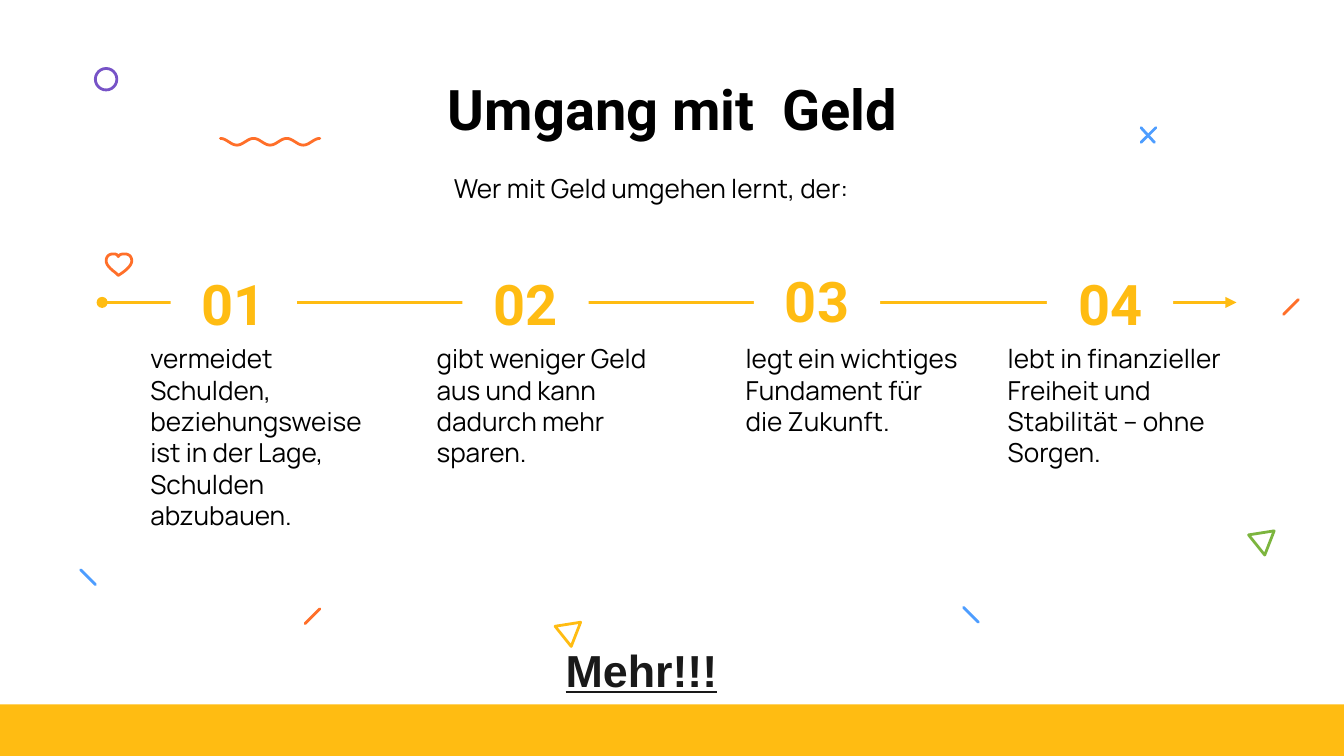
"""Build the "Umgang mit Geld" timeline slide."""
from math import cos, pi

from lxml import etree
from pptx import Presentation
from pptx import util as u
from pptx.dml.color import RGBColor
from pptx.enum import shapes, text
from pptx.oxml.ns import qn

PX = 9144
COLORS = {
    "yellow": "FFBC12", "orange": "FF6F29", "blue": "4D9DFF", "green": "7CB53E",
    "purple": "7753C7", "white": "FFFFFF", "black": "000000", "ink": "191919",
}
STROKES = [
    (966, 223, 955, 234, "orange"), (238, 453, 227, 464, "orange"),
    (717, 452, 728, 463, "blue"), (60, 424, 71, 435, "blue"),
    (860, 95, 849, 106, "blue"), (849, 95, 859, 106, "blue"),
]
TRIANGLES = [(413, 463, "yellow"), (929, 395, "green")]
HEART = [
    ((86, 203), (79, 198), (79, 195), (79, 194)),
    ((79, 194), (79, 191), (81, 189), (84, 189)),
    ((84, 189), (86, 189), (87, 189), (88, 191)),
    ((88, 191), (89, 189), (91, 189), (93, 189)),
    ((93, 189), (96, 189), (98, 191), (98, 194)),
    ((98, 194), (98, 195), (98, 198), (91, 203)),
]
STEPS = [
    ("01", 127, 194, 102, 195, "vermeidet Schulden, beziehungsweise ist in der Lage, Schulden abzubauen."),
    ("02", 344, 194, 315, 180, "gibt weniger Geld aus und kann dadurch mehr sparen."),
    ("03", 561, 192, 545, 180, "legt ein wichtiges Fundament für die Zukunft."),
    ("04", 779, 194, 740, 197, "lebt in finanzieller Freiheit und Stabilität – ohne Sorgen."),
]


def px(length):
    """Turn px into EMU."""
    return u.Emu(length * PX)


def box(left, top, width, height):
    """Return a position and size in EMU."""
    return px(left), px(top), px(width), px(height)


def rgb(color):
    """Look up a named colour."""
    return RGBColor.from_string(COLORS[color])


def outline(shape, color):
    """Give a shape or connector a round-capped coloured line."""
    shape.line.color.rgb = rgb(color)
    shape.line.width = u.Pt(1.5)
    shape.element.spPr.find(qn("a:ln")).set("cap", "rnd")


def add_line(slide, x1, y1, x2, y2, color):
    """Draw a straight line without shadow."""
    line = slide.shapes.add_connector(
        shapes.MSO_CONNECTOR.STRAIGHT, px(x1), px(y1), px(x2), px(y2))
    outline(line, color)
    etree.SubElement(line.element.spPr, qn("a:effectLst"))
    return line


def add_outline(slide, points, color, close=True):
    """Draw an unfilled freeform through the points."""
    start, *rest = [(px(x), px(y)) for x, y in points]
    builder = slide.shapes.build_freeform(*start)
    builder.add_line_segments(rest, close=close)
    freeform = builder.convert_to_shape()
    freeform.shadow.inherit = False
    freeform.fill.background()
    outline(freeform, color)


def curve(start, first, second, end, steps=8):
    """Sample a cubic Bézier curve."""
    for step in range(steps + 1):
        t = step / steps
        yield tuple((1 - t) ** 3 * a + 3 * (1 - t) ** 2 * t * b + 3 * (1 - t) * t ** 2 * c + t ** 3 * d
                    for a, b, c, d in zip(start, first, second, end))


def write(frame, wording, size, font, color, bold=False, underline=None, align=None,
          anchor=text.MSO_ANCHOR.TOP, margin=10, spacing=None):
    """Fill a text frame with one formatted run."""
    frame.word_wrap = True
    frame.auto_size = text.MSO_AUTO_SIZE.NONE
    frame.vertical_anchor = anchor
    frame.margin_left = frame.margin_right = px(10)
    frame.margin_top = frame.margin_bottom = px(margin)
    paragraph = frame.paragraphs[0]
    paragraph.alignment = align
    paragraph.line_spacing = spacing
    run = paragraph.add_run()
    run.text = wording
    run.font.size = u.Pt(size)
    run.font.name = font
    run.font.bold = bold
    run.font.underline = underline
    run.font.color.rgb = rgb(color)


def add_text(slide, place, wording, size, font, color, **style):
    """Add a text box."""
    frame = slide.shapes.add_textbox(*box(*place)).text_frame
    write(frame, wording, size, font, color, **style)


def add_block(slide, place, color):
    """Add a filled rectangle without line."""
    block = slide.shapes.add_shape(shapes.MSO_SHAPE.RECTANGLE, *box(*place))
    block.shadow.inherit = False
    block.fill.solid()
    block.fill.fore_color.rgb = rgb(color)
    block.line.fill.background()
    return block


def add_decoration(slide):
    """Add the bottom band and the scattered ornaments."""
    add_block(slide, (0, 524, 1000, 39), "yellow")
    for stroke in STROKES:
        add_line(slide, *stroke)
    for x, y, color in TRIANGLES:
        add_outline(slide, [(x + 19, y), (x, y + 3), (x + 12, y + 18)], color)
    wave = [(164 + 74 * i / 72, 105.5 - 2.5 * cos(2 * pi * i / 24)) for i in range(73)]
    add_outline(slide, wave, "orange", close=False)
    heart = [point for segment in HEART for point in curve(*segment)]
    add_outline(slide, [(88, 205)] + heart, "orange")
    ring = slide.shapes.add_shape(shapes.MSO_SHAPE.OVAL, *box(71, 51, 16, 16))
    ring.shadow.inherit = False
    ring.fill.background()
    outline(ring, "purple")


def add_timeline(slide):
    """Add the arrow with its numbered steps."""
    arrow = add_line(slide, 76, 225, 920, 225, "yellow")
    ends = arrow.element.spPr.find(qn("a:ln"))
    for end, kind in (("a:headEnd", "oval"), ("a:tailEnd", "triangle")):
        etree.SubElement(ends, qn(end), type=kind)
    for number, left, top, text_left, text_width, wording in STEPS:
        add_text(slide, (text_left, 245, text_width, 108), wording, 14, "Manrope", "black",
                 spacing=u.Pt(16.8))
        label = add_block(slide, (left, top, 94, 63), "white")
        write(label.text_frame, number, 30, "Roboto", "yellow", bold=True,
              align=text.PP_ALIGN.CENTER, anchor=text.MSO_ANCHOR.MIDDLE)


def main():
    """Build and save the slide."""
    deck = Presentation()
    deck.slide_width, deck.slide_height = u.Inches(10), u.Inches(5.625)
    slide = deck.slides.add_slide(deck.slide_layouts[5])
    add_decoration(slide)
    title = slide.shapes.title
    title.left, title.top, title.width, title.height = box(79, 49, 843, 63)
    write(title.text_frame, "Umgang mit  Geld", 30, "Roboto", "black", bold=True,
          align=text.PP_ALIGN.CENTER, anchor=text.MSO_ANCHOR.MIDDLE)
    add_timeline(slide)
    add_text(slide, (328, 123, 343, 81), "Wer mit Geld umgehen lernt, der:",
             14, "Manrope", "black", margin=5)
    add_text(slide, (411, 473, 134, 50), "Mehr!!!", 24, "Arial", "ink",
             bold=True, underline=True, margin=5)
    deck.save("out.pptx")


if __name__ == "__main__":
    main()
